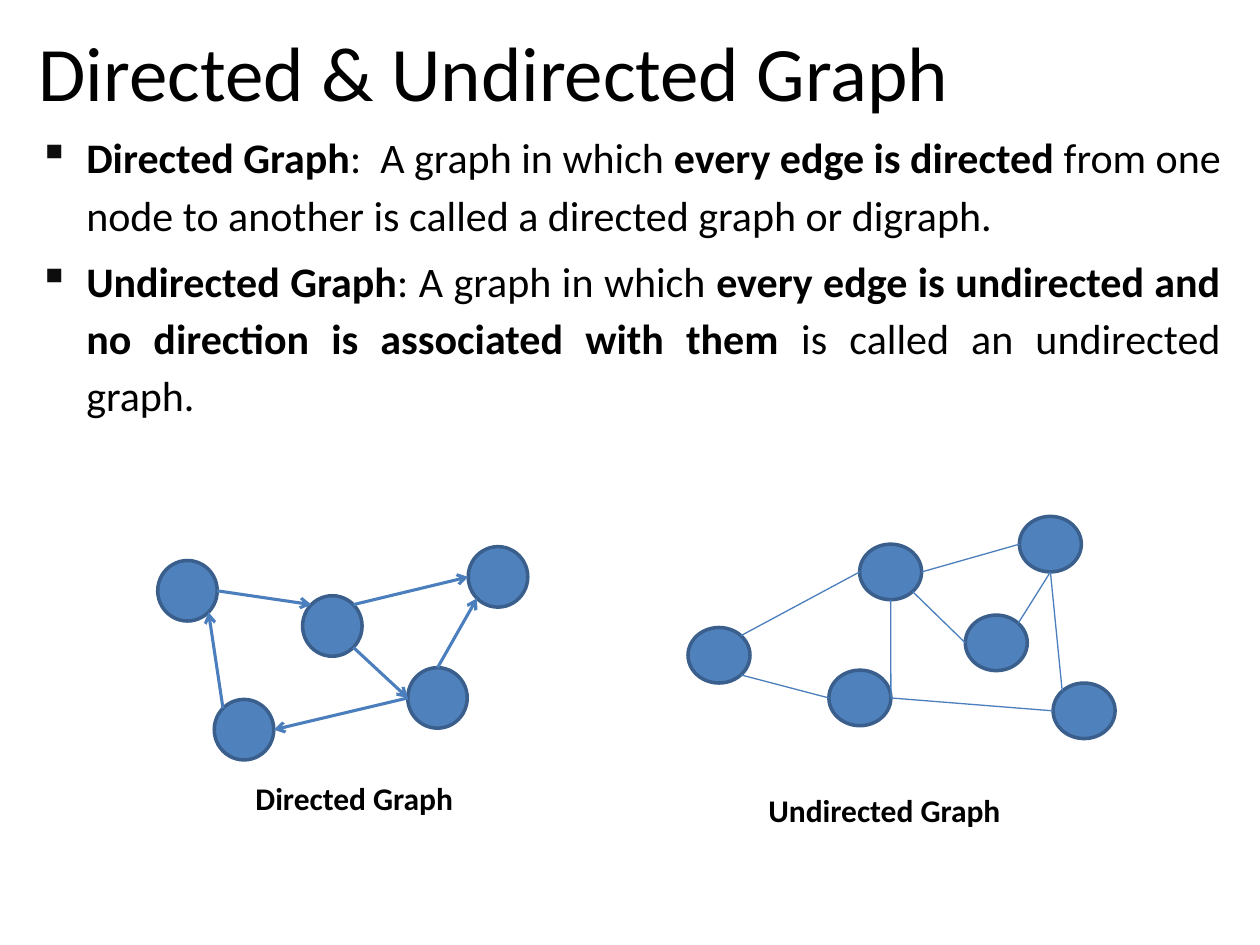
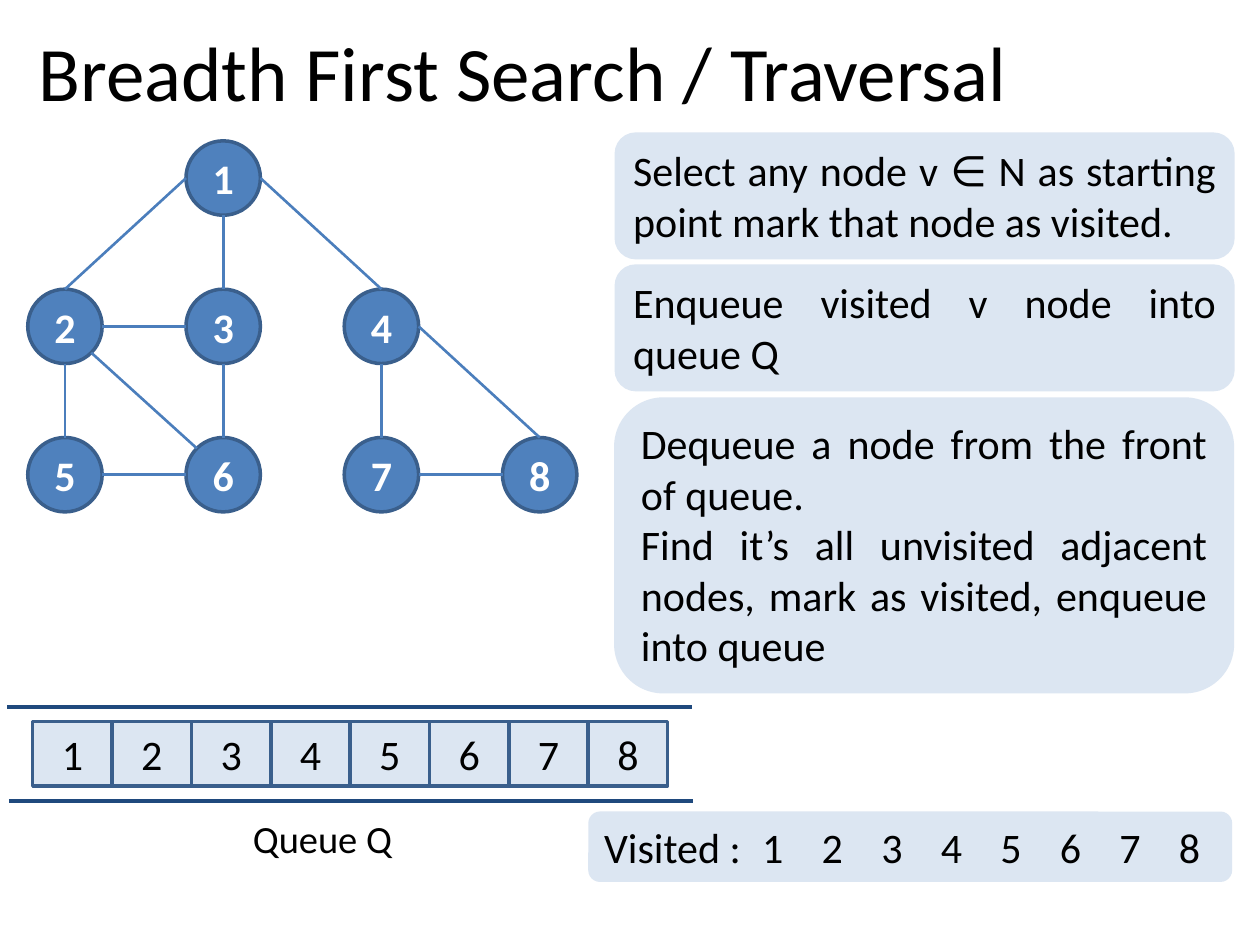
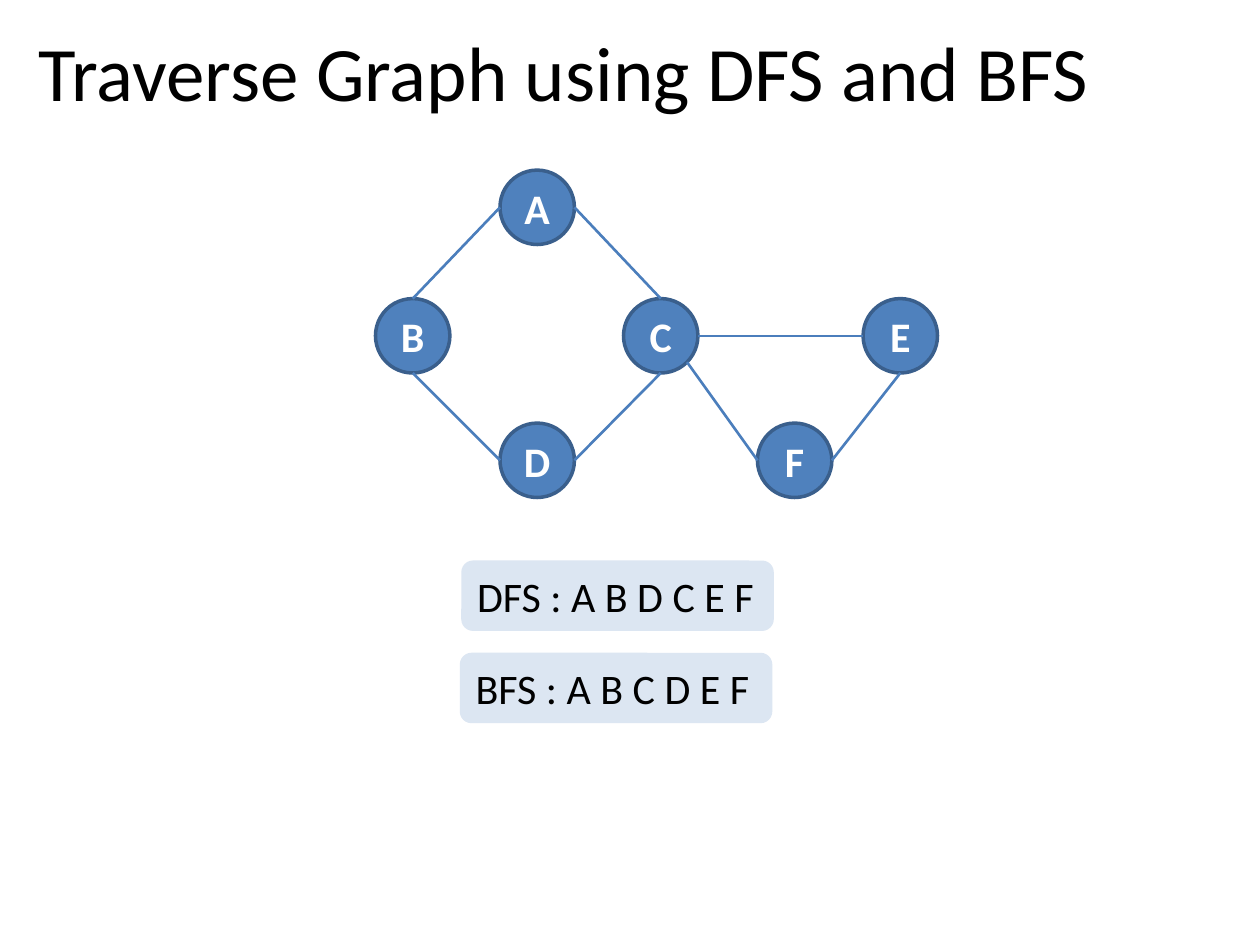
from math import copysign, sqrt

from lxml.etree import SubElement
from pptx import Presentation
from pptx.dml.color import RGBColor
from pptx.enum.shapes import MSO_CONNECTOR, MSO_SHAPE
from pptx.enum.text import MSO_ANCHOR, PP_ALIGN
from pptx.oxml.ns import qn
from pptx.util import Cm, Pt

FONT = "Calibri"
BLACK, WHITE = "000000", "FFFFFF"
NODE_FILL, NODE_LINE, EDGE = "4F81BD", "3A5F8C", "4B7EBC"
PANEL, QUEUE_RAIL, BULLET = "DCE6F2", "1F497D", "0D0D0D"
SITES = {
    "top": (0, -1), "bottom": (0, 1), "left": (-1, 0), "right": (1, 0),
    "top left": (-1, -1), "top right": (1, -1),
    "bottom left": (-1, 1), "bottom right": (1, 1),
}


def color(value):
    """Turn a hex string into a colour."""
    return RGBColor.from_string(value)


def add_runs(paragraph, runs, size, hue=BLACK):
    """Add (text, bold) runs to a paragraph."""
    for text, bold in runs:
        run = paragraph.add_run()
        run.text = text
        run.font.name = FONT
        run.font.size = Pt(size)
        run.font.bold = bold
        run.font.color.rgb = color(hue)


def write(shape, paragraphs, size, hue=BLACK, align=PP_ALIGN.LEFT, anchor=MSO_ANCHOR.TOP):
    """Fill a shape with paragraphs, each a list of runs, and return its text frame."""
    frame = shape.text_frame
    frame.word_wrap = True
    frame.vertical_anchor = anchor
    for index, runs in enumerate(paragraphs):
        paragraph = frame.paragraphs[0] if index == 0 else frame.add_paragraph()
        paragraph.alignment = align
        add_runs(paragraph, runs, size, hue)
    return frame


def add_text(slide, box, paragraphs, size, **style):
    """Add a text box and return its text frame."""
    shape = slide.shapes.add_textbox(*map(Cm, box))
    return write(shape, paragraphs, size, **style)


def add_titled_slide(presentation, title):
    """Add a blank slide with the shared title style."""
    slide = presentation.slides.add_slide(presentation.slide_layouts[6])
    add_text(slide, (0.53, 0.3, 24.33, 2.24), [[(title, False)]], 44, anchor=MSO_ANCHOR.MIDDLE)
    return slide


def add_bullets(slide, box, paragraphs):
    """Add justified text with square bullets."""
    frame = add_text(slide, box, paragraphs, 24, align=PP_ALIGN.JUSTIFY)
    for index, paragraph in enumerate(frame.paragraphs):
        properties = paragraph._p.get_or_add_pPr()
        properties.set("marL", str(Cm(0.96)))
        properties.set("indent", str(-Cm(0.96)))
        bullet_color = SubElement(properties, qn("a:buClr"))
        SubElement(bullet_color, qn("a:srgbClr"), val=BULLET)
        SubElement(properties, qn("a:buChar"), char="▪")
        paragraph.line_spacing = 1.14
        if index:
            paragraph.space_before = Pt(4.8)


def add_block(slide, kind, box, fill, outline=None):
    """Add a flat preset shape."""
    shape = slide.shapes.add_shape(kind, *map(Cm, box))
    shape.shadow.inherit = False
    shape.fill.solid()
    shape.fill.fore_color.rgb = color(fill)
    if outline:
        shape.line.color.rgb = color(outline)
        shape.line.width = Pt(2)
    else:
        shape.line.fill.background()
    return shape


def add_panel(slide, box, *texts):
    """Add a pale rounded panel with justified text."""
    panel = add_block(slide, MSO_SHAPE.ROUNDED_RECTANGLE, box, PANEL)
    write(panel, [[(text, False)] for text in texts], 24, align=PP_ALIGN.JUSTIFY)


def add_digit(slide, box, digit, outline=None, anchor=MSO_ANCHOR.TOP):
    """Add a pale cell with one centred digit."""
    cell = add_block(slide, MSO_SHAPE.RECTANGLE, box, PANEL, outline)
    write(cell, [[(str(digit), False)]], 24, align=PP_ALIGN.CENTER, anchor=anchor)


def add_line(slide, start, end, hue, width, arrow=False):
    """Add a straight line between two points."""
    line = slide.shapes.add_connector(MSO_CONNECTOR.STRAIGHT, *start, *end)
    line.line.color.rgb = color(hue)
    line.line.width = Pt(width)
    if arrow:
        SubElement(line.line._get_or_add_ln(), qn("a:tailEnd"), type="arrow")
    SubElement(line._element.spPr, qn("a:effectLst"))


def site_point(node, site):
    """Find the point on an elliptical node named by its site."""
    across, down = SITES[site]
    if across and down:
        across, down = copysign(sqrt(0.5), across), copysign(sqrt(0.5), down)
    return (int(node.left + node.width * (1 + across) / 2),
            int(node.top + node.height * (1 + down) / 2))


def add_graph(slide, places, size, edges, width, labelled=True, arrow=False):
    """Draw named nodes and the edges that join their sites."""
    nodes = {}
    for name, place in places.items():
        nodes[name] = add_block(slide, MSO_SHAPE.OVAL, (*place, *size), NODE_FILL, NODE_LINE)
        if labelled:
            write(nodes[name], [[(name, True)]], 24, WHITE, PP_ALIGN.CENTER, MSO_ANCHOR.MIDDLE)
    for source, source_site, target, target_site in edges:
        add_line(slide, site_point(nodes[source], source_site),
                 site_point(nodes[target], target_site), EDGE, width, arrow)


def build_graph_kinds(presentation):
    """Build the slide on directed and undirected graphs."""
    slide = add_titled_slide(presentation, "Directed & Undirected Graph")
    add_bullets(slide, (0.53, 2.39, 24.33, 14.81), [
        [("Directed Graph", True), (":  A graph in which ", False),
         ("every edge is directed", True),
         (" from one node to another is called a directed graph or digraph.", False)],
        [("Undirected Graph", True), (": A graph in which ", False),
         ("every edge is undirected and no direction is associated with them ", True),
         ("is called an undirected graph.", False)],
    ])
    directed_places = {
        "A": (3.18, 11.3), "B": (6.1, 12.01), "C": (4.32, 14.1),
        "D": (8.22, 13.46), "E": (9.44, 11.02),
    }
    directed_edges = [
        ("A", "right", "B", "top left"), ("B", "bottom right", "D", "left"),
        ("D", "top", "E", "bottom left"), ("C", "top left", "A", "bottom right"),
        ("B", "top right", "E", "left"), ("D", "left", "C", "right"),
    ]
    add_graph(slide, directed_places, (1.2, 1.22), directed_edges, 1.75, False, True)
    add_text(slide, (4.9, 15.57, 6.55, 1.47), [[("Directed Graph", True)]], 18)
    undirected_places = {
        "A": (13.87, 12.65), "B": (17.33, 10.97), "C": (20.55, 10.41),
        "D": (19.46, 12.4), "E": (16.71, 13.51), "F": (21.23, 13.77),
    }
    undirected_edges = [
        ("A", "top right", "B", "left"), ("A", "bottom right", "E", "left"),
        ("D", "top right", "C", "bottom"), ("B", "right", "C", "left"),
        ("B", "bottom", "E", "right"), ("B", "bottom right", "D", "left"),
        ("E", "right", "F", "left"), ("C", "bottom", "F", "top left"),
    ]
    add_graph(slide, undirected_places, (1.25, 1.12), undirected_edges, 0.75, False)
    add_text(slide, (15.24, 15.82, 8.08, 1.35), [[("Undirected Graph", True)]], 18)


def build_breadth_first(presentation):
    """Build the breadth first search slide."""
    slide = add_titled_slide(presentation, "Breadth First Search / Traversal")
    grid = {"1": (1, 0), "2": (0, 1), "3": (1, 1), "4": (2, 1),
            "5": (0, 2), "6": (1, 2), "7": (2, 2), "8": (3, 2)}
    places = {name: (0.56 + 3.19 * column, 2.84 + 2.99 * row)
              for name, (column, row) in grid.items()}
    edges = [
        ("1", "bottom", "3", "top"), ("2", "top", "1", "left"), ("1", "right", "4", "top"),
        ("3", "bottom", "6", "top"), ("2", "bottom", "5", "top"),
        ("2", "bottom right", "6", "top left"), ("2", "right", "3", "left"),
        ("5", "right", "6", "left"), ("7", "right", "8", "left"),
        ("4", "bottom", "7", "top"), ("4", "right", "8", "top"),
    ]
    add_graph(slide, places, (1.5, 1.5), edges, 1.5)
    add_panel(slide, (12.39, 2.67, 12.5, 2.56),
              "Select any node v ∈ N as starting point mark that node as visited.")
    add_panel(slide, (12.39, 5.33, 12.5, 2.56), "Enqueue visited v node into queue Q")
    add_panel(slide, (12.38, 8.01, 12.5, 5.97), "Dequeue a node from the front of queue.",
              "Find it’s all unvisited adjacent nodes, mark as visited, enqueue into queue")
    add_panel(slide, (11.86, 16.36, 12.98, 1.42), "Visited :")
    for index in range(8):
        add_digit(slide, (0.66 + 1.6 * index, 14.55, 1.6, 1.3), index + 1,
                  NODE_LINE, MSO_ANCHOR.MIDDLE)
        add_digit(slide, (14.98 + 1.2 * index, 16.43, 1.2, 1.2), index + 1)
    for left, top in ((0.15, 14.25), (0.18, 16.15)):
        add_line(slide, (Cm(left), Cm(top)), (Cm(left + 13.79), Cm(top)), QUEUE_RAIL, 2.25)
    add_text(slide, (4.85, 16.31, 3.4, 1.19), [[("Queue Q", False)]], 22)


def build_traversals(presentation):
    """Build the slide that compares the two traversal orders."""
    slide = add_titled_slide(presentation, "Traverse Graph using DFS and BFS")
    places = {
        "A": (10.08, 3.43), "B": (7.57, 6.02), "C": (12.57, 6.02),
        "D": (10.08, 8.53), "E": (17.4, 6.02), "F": (15.27, 8.53),
    }
    edges = [
        ("A", "left", "B", "top"), ("B", "bottom", "D", "left"), ("D", "right", "C", "bottom"),
        ("A", "right", "C", "top"), ("C", "bottom right", "F", "left"),
        ("F", "right", "E", "bottom"), ("C", "right", "E", "left"),
    ]
    add_graph(slide, places, (1.5, 1.5), edges, 1.5)
    add_panel(slide, (9.3, 11.3, 6.3, 1.42), "DFS : A B D C E F")
    add_panel(slide, (9.27, 13.16, 6.3, 1.42), "BFS : A B C D E F")


def main():
    """Build and save the presentation."""
    presentation = Presentation()
    presentation.slide_width = Cm(25.4)
    presentation.slide_height = Cm(19.05)
    build_graph_kinds(presentation)
    build_breadth_first(presentation)
    build_traversals(presentation)
    presentation.save("out.pptx")


if __name__ == "__main__":
    main()
